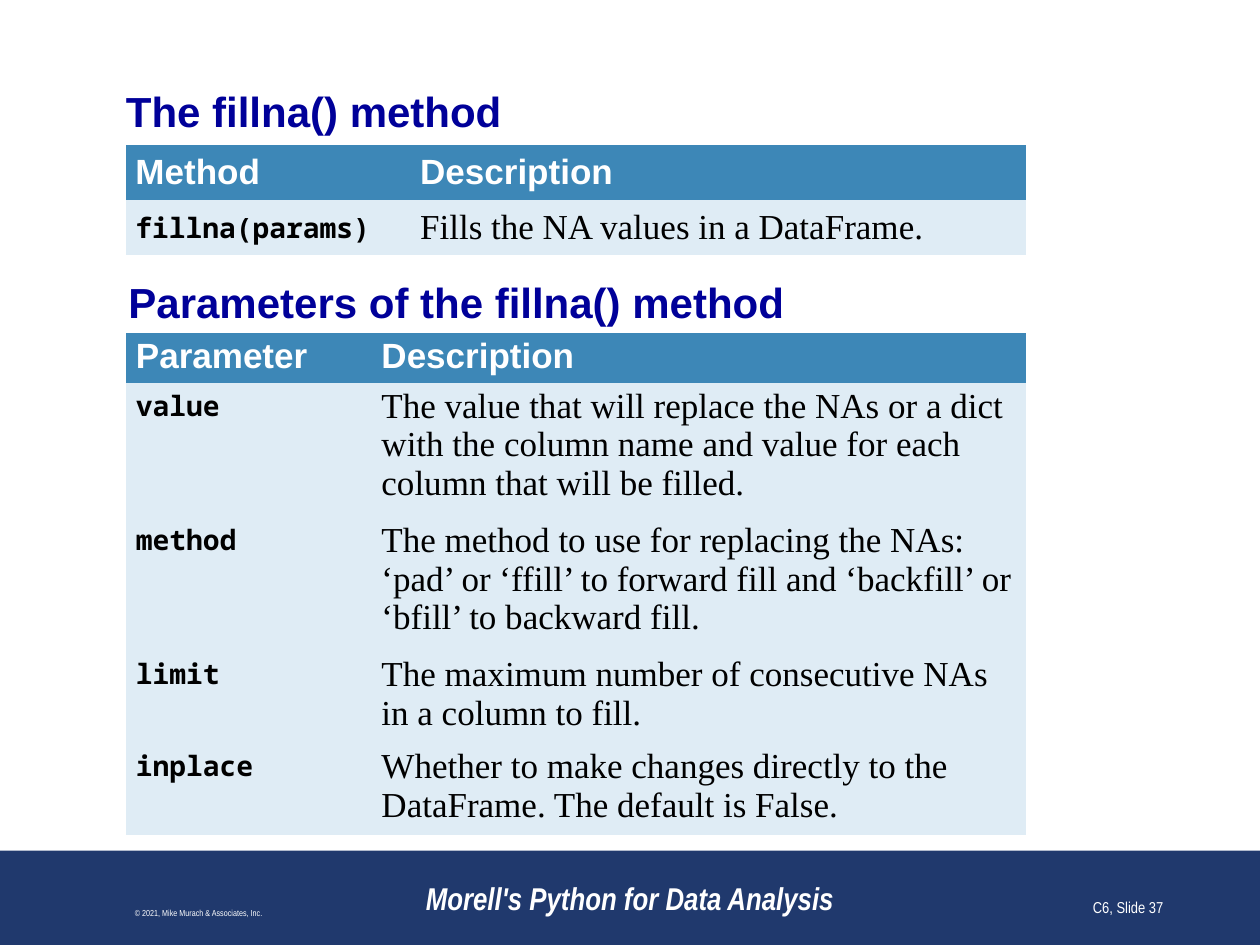
from dataclasses import dataclass

from pptx import Presentation
from pptx.dml.color import RGBColor
from pptx.enum.shapes import MSO_SHAPE
from pptx.enum.text import MSO_ANCHOR, PP_ALIGN
from pptx.util import Cm, Pt

NAVY, WHITE, BLACK = "20396D", "FFFFFF", "000000"
HEADER_FILL, BODY_FILL = "3D87B7", "DFECF5"
TABLE_LEFT = 2.54


@dataclass(frozen=True)
class TextStyle:
    font: str
    size: float
    color: str
    bold: bool = False
    italic: bool = False


HEADING = TextStyle("Arial", 24, "000099", bold=True)
HEADER_CELL = TextStyle("Arial", 20, WHITE, bold=True)
CODE_CELL = TextStyle("Noto Sans Mono", 16, BLACK, bold=True)
BODY_CELL = TextStyle("Times New Roman", 20, BLACK)


@dataclass(frozen=True)
class TextBox:
    """A line of text; lengths are in centimetres."""
    text: str
    style: TextStyle
    left: float
    top: float
    width: float
    height: float
    anchor: MSO_ANCHOR = MSO_ANCHOR.BOTTOM
    align: PP_ALIGN = PP_ALIGN.LEFT
    margin_x: float = 0.25
    margin_y: float = 0.13


@dataclass(frozen=True)
class MethodTable:
    """A header row and rows of code with a description, in centimetres."""
    top: float
    column_widths: tuple[float, ...]
    row_heights: tuple[float, ...]
    margin_x: float
    margin_y: float
    anchor: MSO_ANCHOR
    rows: tuple[tuple[str, str], ...]


TEXT_BOXES = (
    TextBox("The fillna() method", HEADING, 2.54, 1.73, 20.32, 1.02,
            MSO_ANCHOR.MIDDLE, margin_x=0, margin_y=0),
    TextBox("Parameters of the fillna() method", HEADING, 2.34, 5.44, 20.52, 1.27,
            MSO_ANCHOR.TOP),
    TextBox("Morell's Python for Data Analysis",
            TextStyle("Arial Narrow", 18, WHITE, bold=True, italic=True),
            7.62, 17.35, 10.16, 1.27, align=PP_ALIGN.CENTER),
    TextBox("© 2021, Mike Murach & Associates, Inc.",
            TextStyle("Arial Narrow", 5, WHITE),
            0.2, 17.35, 7.62, 1.27, align=PP_ALIGN.CENTER),
    TextBox("C6, Slide 37", TextStyle("Arial Narrow", 9, WHITE),
            18.42, 17.35, 5.28, 1.27, align=PP_ALIGN.RIGHT),
)

TABLES = (
    MethodTable(
        2.92, (5.74, 12.4), (1.05, 1.05), 0.19, 0.13, MSO_ANCHOR.MIDDLE,
        (("Method", "Description"),
         ("fillna(params)", "Fills the NA values in a DataFrame."))),
    MethodTable(
        6.71, (4.95, 13.19), (0.95, 2.5, 2.5, 1.71, 1.71), 0.2, 0.08, MSO_ANCHOR.TOP,
        (("Parameter", "Description"),
         ("value", "The value that will replace the NAs or a dict with the column "
                   "name and value for each column that will be filled."),
         ("method", "The method to use for replacing the NAs: ‘pad’ or ‘ffill’ to "
                    "forward fill and ‘backfill’ or ‘bfill’ to backward fill."),
         ("limit", "The maximum number of consecutive NAs in a column to fill."),
         ("inplace", "Whether to make changes directly to the DataFrame. "
                     "The default is False."))),
)


def rgb(hex_color: str) -> RGBColor:
    return RGBColor.from_string(hex_color)


def add_run(para, text: str, style: TextStyle) -> None:
    span = para.add_run()
    span.text = text
    span.font.name = style.font
    span.font.size = Pt(style.size)
    span.font.bold = style.bold
    span.font.italic = style.italic
    span.font.color.rgb = rgb(style.color)


def set_margins(target, horizontal: float, vertical: float) -> None:
    target.margin_left = target.margin_right = Cm(horizontal)
    target.margin_top = target.margin_bottom = Cm(vertical)


def draw_text(page, item: TextBox) -> None:
    box = page.shapes.add_textbox(Cm(item.left), Cm(item.top),
                                  Cm(item.width), Cm(item.height))
    frame = box.text_frame
    frame.word_wrap = True
    frame.vertical_anchor = item.anchor
    set_margins(frame, item.margin_x, item.margin_y)
    para = frame.paragraphs[0]
    para.alignment = item.align
    add_run(para, item.text, item.style)


def draw_table(page, item: MethodTable) -> None:
    table = page.shapes.add_table(
        len(item.rows), len(item.column_widths), Cm(TABLE_LEFT), Cm(item.top),
        Cm(sum(item.column_widths)), Cm(sum(item.row_heights))).table
    table.horz_banding = False
    # The cells carry their own fills, so no lines come from a table style.
    table._tbl.tblPr[0].text = "{2D5ABB26-0587-4C30-8999-92F81FD0307C}"
    for column, width in zip(table.columns, item.column_widths):
        column.width = Cm(width)
    for row, height in zip(table.rows, item.row_heights):
        row.height = Cm(height)
    for row_index, texts in enumerate(item.rows):
        is_header = row_index == 0
        styles = (HEADER_CELL, HEADER_CELL) if is_header else (CODE_CELL, BODY_CELL)
        for column_index, (text, style) in enumerate(zip(texts, styles)):
            cell = table.cell(row_index, column_index)
            cell.fill.solid()
            cell.fill.fore_color.rgb = rgb(HEADER_FILL if is_header else BODY_FILL)
            cell.vertical_anchor = item.anchor
            set_margins(cell, item.margin_x, item.margin_y)
            add_run(cell.text_frame.paragraphs[0], text, style)


def draw_footer_band(page) -> None:
    band = page.shapes.add_shape(MSO_SHAPE.RECTANGLE, Cm(0), Cm(17.15),
                                 Cm(25.4), Cm(1.9))
    band.shadow.inherit = False
    band.fill.solid()
    band.fill.fore_color.rgb = rgb(NAVY)
    band.line.fill.background()


def main() -> None:
    deck = Presentation()
    deck.slide_width, deck.slide_height = Cm(25.4), Cm(19.05)
    page = deck.slides.add_slide(deck.slide_layouts[6])
    draw_footer_band(page)
    for item in TEXT_BOXES:
        draw_text(page, item)
    for item in TABLES:
        draw_table(page, item)
    deck.save("out.pptx")


if __name__ == "__main__":
    main()
